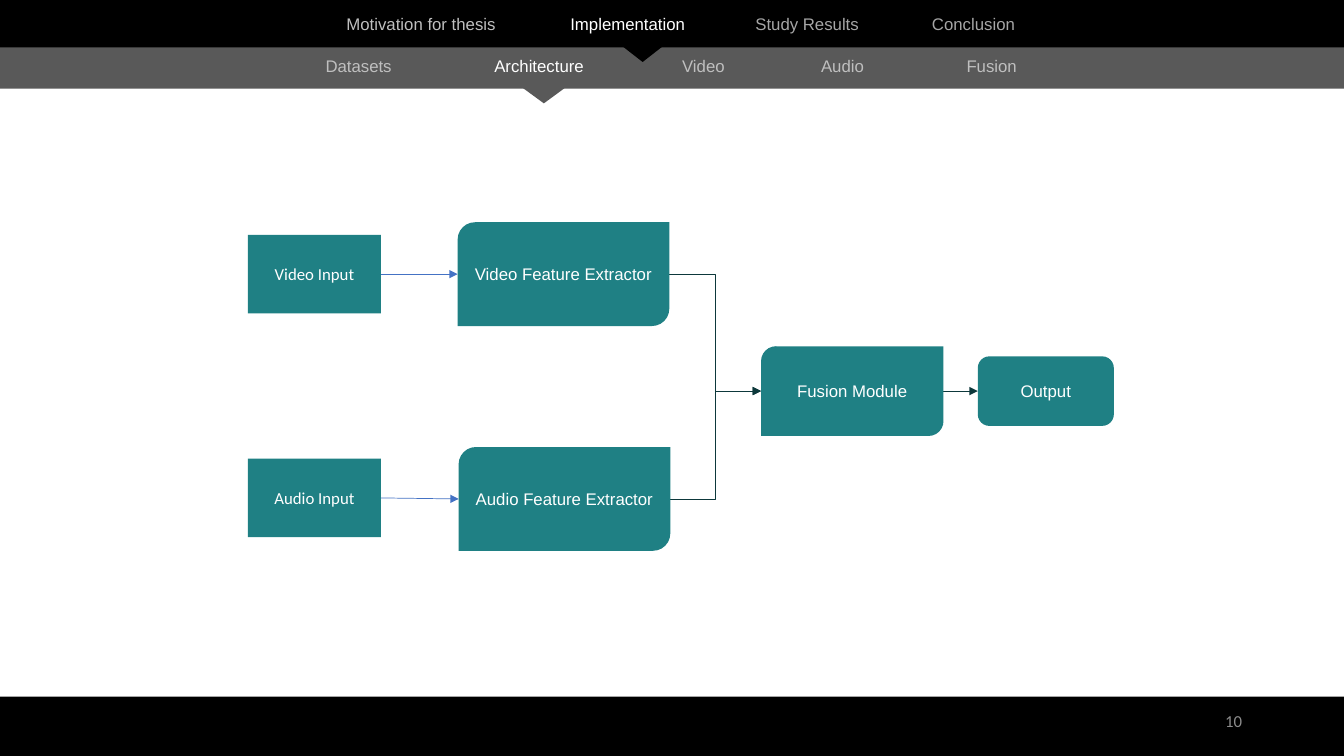
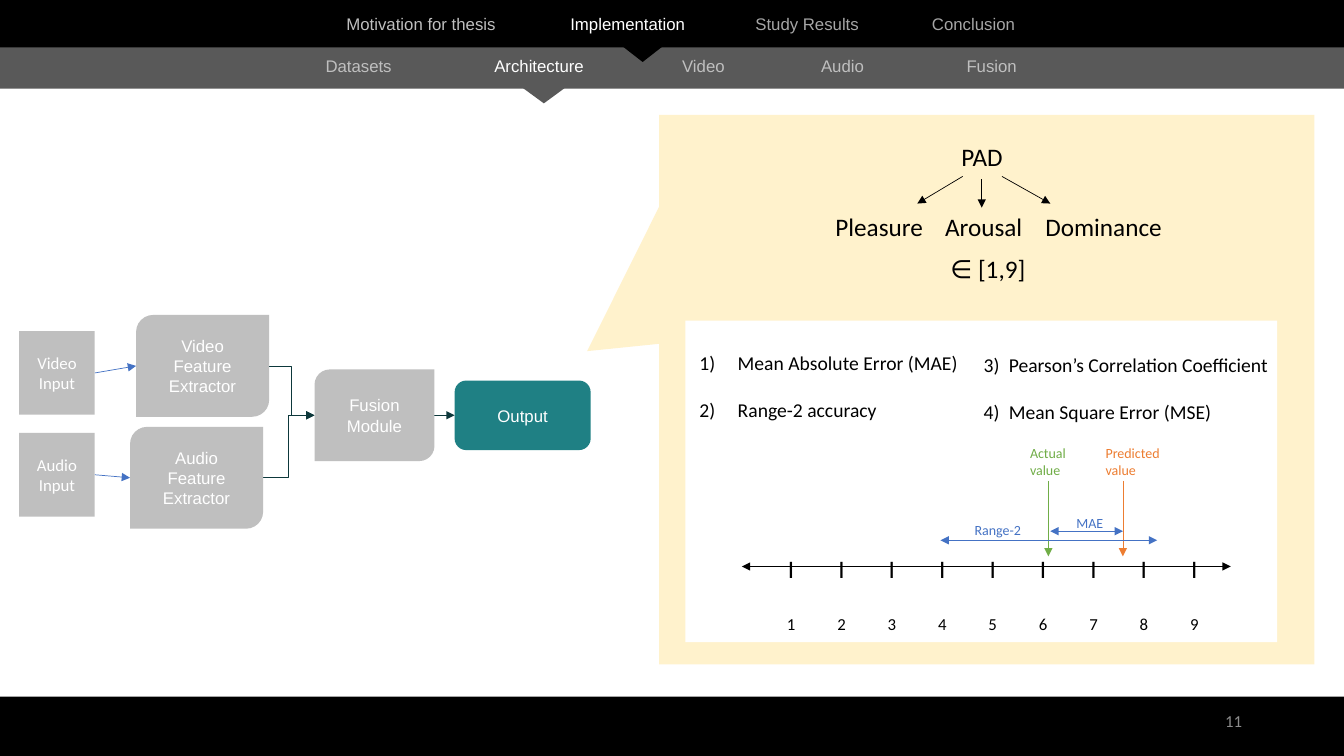
import lxml.etree
import pptx
import pptx.dml.color
import pptx.enum.shapes
import pptx.enum.text
import pptx.oxml.ns
import pptx.util

RGBColor = pptx.dml.color.RGBColor
SHAPE = pptx.enum.shapes.MSO_SHAPE
CONNECTOR = pptx.enum.shapes.MSO_CONNECTOR
ALIGN = pptx.enum.text.PP_ALIGN
ANCHOR = pptx.enum.text.MSO_ANCHOR

BLACK = RGBColor(0x00, 0x00, 0x00)
WHITE = RGBColor(0xFF, 0xFF, 0xFF)
DARK_GREY = RGBColor(0x59, 0x59, 0x59)
NUMBER_GREY = RGBColor(0x8C, 0x8C, 0x8C)
MID_GREY = RGBColor(0xA6, 0xA6, 0xA6)
LIGHT_GREY = RGBColor(0xBF, 0xBF, 0xBF)
TEAL = RGBColor(0x1F, 0x80, 0x84)
DEEP_TEAL = RGBColor(0x0D, 0x38, 0x3B)
BLUE = RGBColor(0x44, 0x72, 0xC4)
GREEN = RGBColor(0x70, 0xAD, 0x47)
ORANGE = RGBColor(0xED, 0x7D, 0x31)
CREAM = RGBColor(0xFF, 0xF2, 0xCC)

# The slide is a grid of square cells, ten to the inch.
COLUMNS, ROWS = 133.33, 75
PAD_X, PAD_Y = 1, 0.5

# Each stage of the pipeline: label, outline, font
STAGES = {
    "video": ("Video Input", SHAPE.RECTANGLE, "Calibri"),
    "audio": ("Audio Input", SHAPE.RECTANGLE, "Calibri"),
    "video features": ("Video Feature Extractor", SHAPE.ROUND_2_DIAG_RECTANGLE, "Arial"),
    "audio features": ("Audio Feature Extractor", SHAPE.ROUND_2_DIAG_RECTANGLE, "Arial"),
    "fusion": ("Fusion Module", SHAPE.ROUND_2_DIAG_RECTANGLE, "Arial"),
    "output": ("Output", SHAPE.ROUNDED_RECTANGLE, "Arial"),
}
# Each link of the pipeline: from, to, connector, colour
LINKS = [
    ("video", "video features", CONNECTOR.STRAIGHT, BLUE),
    ("audio", "audio features", CONNECTOR.STRAIGHT, BLUE),
    ("video features", "fusion", CONNECTOR.ELBOW, DEEP_TEAL),
    ("audio features", "fusion", CONNECTOR.ELBOW, DEEP_TEAL),
    ("fusion", "output", CONNECTOR.STRAIGHT, DEEP_TEAL),
]
# Place of each stage: left, vertical centre, width, height
WIDE_PIPELINE = {
    "video": (24.6, 27.2, 13.2, 7.8),
    "audio": (24.6, 49.4, 13.2, 7.8),
    "video features": (45.4, 27.2, 21, 10.3),
    "audio features": (45.5, 49.5, 21, 10.3),
    "fusion": (75.5, 38.8, 18.1, 8.9),
    "output": (97, 38.8, 13.5, 6.9),
}
SMALL_PIPELINE = {
    "video": (1.9, 37, 7.5, 8.3),
    "audio": (1.9, 47.1, 7.5, 8.3),
    "video features": (13.5, 36.3, 13.2, 10.1),
    "audio features": (12.9, 47.4, 13.2, 10.1),
    "fusion": (31.2, 41.2, 11.9, 9.1),
    "output": (45.1, 41.2, 13.5, 6.9),
}


def cells(count):
    return pptx.util.Inches(count / 10)


def add_element(parent, tag, **attributes):
    element = lxml.etree.SubElement(parent, pptx.oxml.ns.qn(tag))
    for name, value in attributes.items():
        element.set(name, str(value))
    return element


def write_text(shape, lines, *, size=12, font="Calibri", color=BLACK, align=ALIGN.LEFT,
               anchor=ANCHOR.TOP, centres=(), gap=0, first_number=None, indent=0):
    """Write lines; a line is a string or a list of (string, colour) spans.

    centres are columns of the slide at which tabbed words are centred.
    """
    frame = shape.text_frame
    frame.word_wrap = True
    frame.vertical_anchor = anchor
    frame.margin_left = frame.margin_right = cells(PAD_X)
    frame.margin_top = frame.margin_bottom = cells(PAD_Y)
    for index, line in enumerate(lines):
        para = frame.add_paragraph() if index else frame.paragraphs[0]
        para.alignment = align
        if index and gap:
            para.space_before = pptx.util.Pt(gap)
        properties = para._p.get_or_add_pPr()
        if first_number:
            properties.set("marL", str(cells(indent)))
            properties.set("indent", str(-cells(indent)))
            add_element(properties, "a:buFont", typeface=font)
            add_element(properties, "a:buAutoNum", type="arabicParenR",
                        startAt=first_number)
        if centres:
            stops = add_element(properties, "a:tabLst")
            for centre in centres:
                position = cells(centre - PAD_X) - shape.left
                add_element(stops, "a:tab", pos=position, algn="ctr")
        spans = [(line, color)] if isinstance(line, str) else line
        for words, span_color in spans:
            span = para.add_run()
            span.text = words
            span.font.size = pptx.util.Pt(size)
            span.font.name = font
            span.font.color.rgb = span_color


def add_box(slide, kind, left, top, width, height, fill):
    box = slide.shapes.add_shape(kind, *map(cells, (left, top, width, height)))
    box.shadow.inherit = False
    box.fill.solid()
    box.fill.fore_color.rgb = fill
    box.line.fill.background()
    return box


def add_text(slide, left, top, width, height, *lines, **text_format):
    box = slide.shapes.add_textbox(*map(cells, (left, top, width, height)))
    write_text(box, lines, **text_format)


def add_arrow(slide, start, end, color, kind=CONNECTOR.STRAIGHT, both_ends=False):
    arrow = slide.shapes.add_connector(kind, *map(cells, (*start, *end)))
    arrow.line.color.rgb = color
    arrow.line.width = pptx.util.Pt(0.5)
    line = arrow.line._get_or_add_ln()
    if both_ends:
        add_element(line, "a:headEnd", type="triangle")
    add_element(line, "a:tailEnd", type="triangle")
    add_element(arrow._element.spPr, "a:effectLst")


def add_navigation(slide, top, height, fill, labels, centres, pointer):
    """A band of tabbed labels with a pointer: left, top, width, height."""
    band = add_box(slide, SHAPE.RECTANGLE, 0, top, COLUMNS, height, fill)
    spans = [("\t" + label, color) for label, color in labels]
    write_text(band, [spans], font="Arial", anchor=ANCHOR.MIDDLE, centres=centres)
    add_box(slide, SHAPE.ISOSCELES_TRIANGLE, *pointer, fill).rotation = 180


def add_frame(slide, number):
    # Footer with slide number
    add_box(slide, SHAPE.RECTANGLE, 0, 69.1, COLUMNS, ROWS - 69.1, BLACK)
    add_text(slide, 94.2, 69.5, 30, 4, str(number), color=NUMBER_GREY,
             align=ALIGN.RIGHT, anchor=ANCHOR.MIDDLE)
    # Sections below, chapters above
    sections = [("Datasets", LIGHT_GREY), ("Architecture", WHITE), ("Video", LIGHT_GREY),
                ("Audio", LIGHT_GREY), ("Fusion", LIGHT_GREY)]
    add_navigation(slide, 4.2, 4.6, DARK_GREY, sections,
                   (35.6, 53.5, 69.8, 83.6, 98.4), (51.9, 8.75, 4.1, 1.5))
    chapters = [("Motivation for thesis", LIGHT_GREY), ("Implementation", WHITE),
                ("Study Results", MID_GREY), ("Conclusion", MID_GREY)]
    add_navigation(slide, 0, 4.7, BLACK, chapters,
                   (41.8, 62.3, 80.1, 96.6), (61.7, 4.55, 4.1, 1.6))


def add_pipeline(slide, places, faded=()):
    for source, target, kind, color in LINKS:
        left, centre, width, _ = places[source]
        add_arrow(slide, (left + width, centre), places[target][:2], color, kind)
    for stage, (left, centre, width, height) in places.items():
        label, kind, font = STAGES[stage]
        fill = LIGHT_GREY if stage in faded else TEAL
        box = add_box(slide, kind, left, centre - height / 2, width, height, fill)
        write_text(box, [label], font=font, color=WHITE, align=ALIGN.CENTER,
                   anchor=ANCHOR.MIDDLE)


def add_emotion_model(slide):
    add_text(slide, 94.4, 13.5, 12.4, 4, "PAD", size=18)
    add_text(slide, 81.9, 20.5, 35.4, 4, "\tPleasure\tArousal\tDominance", size=18,
             centres=(87.2, 97.6, 109.5))
    add_text(slide, 93.3, 24.6, 11.6, 4, "∈ [1,9]", size=18)
    for start, end in [((95.5, 17.5), (91, 20.2)), ((97.4, 17.8), (97.4, 20.6)),
                       ((99.4, 17.5), (104.2, 20.2))]:
        add_arrow(slide, start, end, BLACK)


def add_metrics(slide):
    add_box(slide, SHAPE.RECTANGLE, 68, 31.8, 58.7, 31.9, WHITE)
    # Numbered metrics in two columns
    add_text(slide, 68.4, 34.3, 31.8, 8.1, "Mean Absolute Error (MAE)", "Range-2 accuracy",
             size=14, gap=17, first_number=1, indent=3.8)
    add_text(slide, 96.6, 34.5, 32, 8.1, "Pearson’s Correlation Coefficient",
             "Mean Square Error (MSE)", size=14, gap=17, first_number=3, indent=2.5)
    # Scale from 1 to 9
    add_arrow(slide, (73.6, 56.2), (122.1, 56.2), BLACK, both_ends=True)
    ticks = [78.5 + 5 * step for step in range(9)]
    for top, size, marks in [(54.4, 18, "I" * 9), (60.4, 12, "123456789")]:
        add_text(slide, 74, top, 48, 3.5, "".join("\t" + mark for mark in marks),
                 size=size, centres=ticks)
    # Values pointing at the scale
    for words, left, width, column, color in [
            ("Actual value", 101.2, 6, 104, GREEN),
            ("Predicted value", 108.7, 8.6, 111.4, ORANGE)]:
        add_text(slide, left, 43.6, width, 4.4, words, size=10, color=color)
        add_arrow(slide, (column, 47.7), (column, 55.2), color)
    # Distances along the scale
    for words, left, top, width, start, end, row in [
            ("MAE", 105.8, 50.6, 6, 104.2, 111.4, 52.7),
            ("Range-2", 95.7, 51.2, 7, 93.3, 114.8, 53.6)]:
        add_text(slide, left, top, width, 2.7, words, size=10, color=BLUE)
        add_arrow(slide, (start, row), (end, row), BLUE, both_ends=True)


def main():
    deck = pptx.Presentation()
    deck.slide_width, deck.slide_height = cells(COLUMNS), cells(ROWS)
    blank = deck.slide_layouts[6]

    # Architecture overview
    page = deck.slides.add_slide(blank)
    add_frame(page, 10)
    add_pipeline(page, WIDE_PIPELINE)

    # Output in detail
    page = deck.slides.add_slide(blank)
    add_frame(page, 11)
    add_pipeline(page, SMALL_PIPELINE, faded=set(STAGES) - {"output"})
    callout = add_box(page, SHAPE.RECTANGULAR_CALLOUT, 65.4, 11.4, 65, 54.5, CREAM)
    callout.adjustments[0], callout.adjustments[1] = -0.61, -0.07
    add_emotion_model(page)
    add_metrics(page)

    deck.save("out.pptx")


if __name__ == "__main__":
    main()
